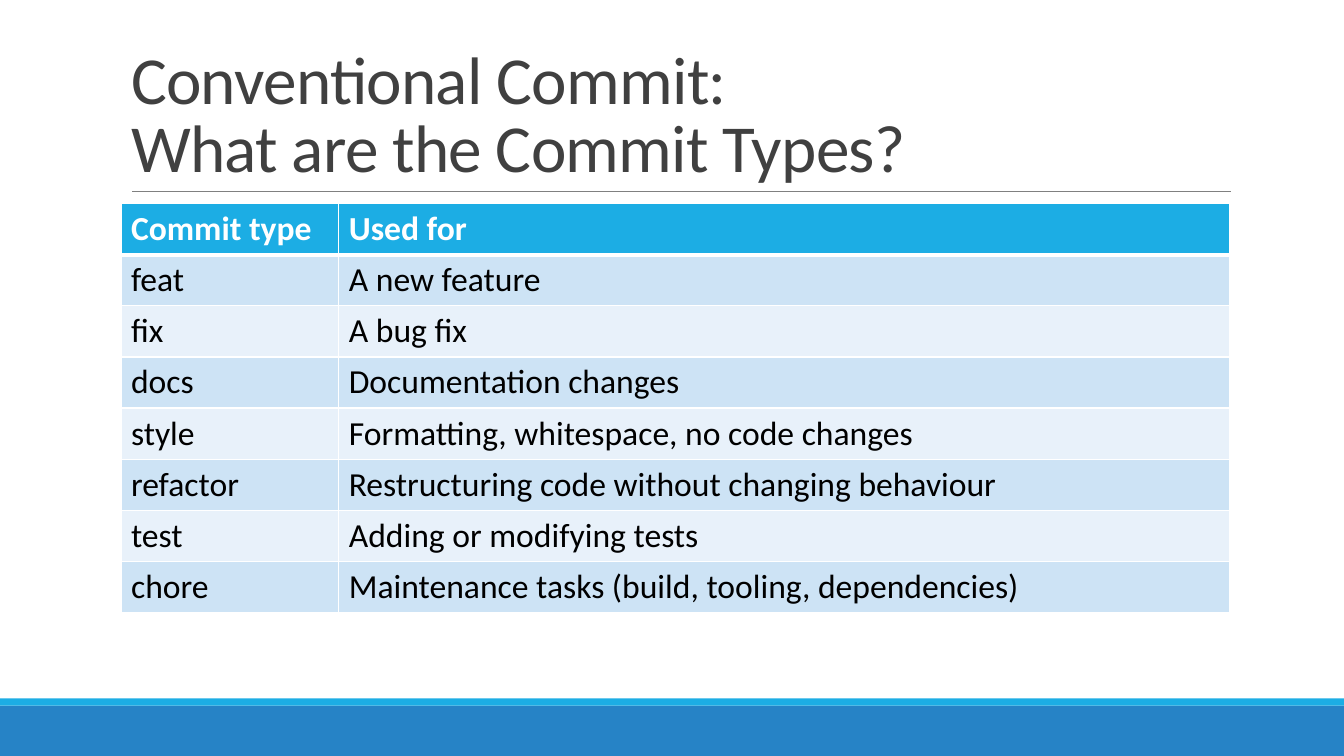
import pptx
import pptx.dml.color
import pptx.enum.shapes
import pptx.enum.text
import pptx.oxml.ns
import pptx.util
from lxml import etree

PX = 9144
FONT = "Calibri"
SKY, BLUE, WHITE = "1CADE4", "2683C6", "FFFFFF"
BANDS = ("CDE3F5", "E8F1FA")
TITLE = "Conventional Commit:\vWhat are the Commit Types?"
ROWS = [
    ("Commit type", "Used for"),
    ("feat", "A new feature"),
    ("fix", "A bug fix"),
    ("docs", "Documentation changes"),
    ("style", "Formatting, whitespace, no code changes"),
    ("refactor", "Restructuring code without changing behaviour"),
    ("test", "Adding or modifying tests"),
    ("chore", "Maintenance tasks (build, tooling, dependencies)"),
]


def px(*lengths):
    """Turn px lengths into a list of EMU lengths."""
    return [pptx.util.Emu(length * PX) for length in lengths]


def color(value):
    """Turn a hex string into a colour."""
    return pptx.dml.color.RGBColor.from_string(value)


def child(parent, tag, **attributes):
    """Append a DrawingML element and return it."""
    return etree.SubElement(parent, pptx.oxml.ns.qn(tag), attributes)


def style(span, fill, **formats):
    """Set the font, colour and other format values of a span."""
    for name, value in {"name": FONT, **formats}.items():
        setattr(span.font, name, value)
    span.font.color.rgb = color(fill)


def add_bar(page, box, fill):
    """Add a plain filled bar."""
    bar = page.shapes.add_shape(pptx.enum.shapes.MSO_SHAPE.RECTANGLE, *px(*box))
    bar.shadow.inherit = False
    bar.fill.solid()
    bar.fill.fore_color.rgb = color(fill)
    bar.line.fill.background()


def add_footer(page, box):
    """Add the thin bright stripe above the wide blue bar."""
    left, top, width, height = box
    stripe = 7
    add_bar(page, (left, top + stripe, width, height - stripe), BLUE)
    add_bar(page, (left, top, width, stripe), SKY)


def add_title(page, box):
    """Place the title and the rule along its bottom edge."""
    left, top, width, height = box
    title = page.shapes.title
    title.left, title.top, title.width, title.height = px(*box)
    frame = title.text_frame
    frame.text = TITLE
    frame.word_wrap = True
    frame.auto_size = pptx.enum.text.MSO_AUTO_SIZE.NONE
    frame.vertical_anchor = pptx.enum.text.MSO_ANCHOR.BOTTOM
    para = frame.paragraphs[0]
    para.alignment = pptx.enum.text.PP_ALIGN.LEFT
    para.line_spacing = 0.85
    for span in para.runs:
        style(span, "404040", size=pptx.util.Pt(48))
        span.font._element.set("spc", "-50")

    bottom = top + height
    rule = page.shapes.add_connector(
        pptx.enum.shapes.MSO_CONNECTOR.STRAIGHT,
        *px(left + 11, bottom, left + width + 1, bottom))
    rule.line.color.rgb = color("808080")
    rule.line.width = pptx.util.Pt(0.5)
    child(rule._element.spPr, "a:effectLst")


def fill_cell(cell, text, row):
    """Write, fill and border one cell according to its row."""
    header = row == 0
    span = cell.text_frame.paragraphs[0].add_run()
    span.text = text
    style(span, WHITE if header else "000000", size=pptx.util.Pt(24), bold=header)
    widths = {"L": 1, "R": 1, "T": 3 if row == 1 else 1, "B": 3 if header else 1}
    properties = cell._tc.get_or_add_tcPr()
    for side, points in widths.items():
        border = child(properties, f"a:ln{side}", w=str(pptx.util.Pt(points)))
        child(child(border, "a:solidFill"), "a:srgbClr", val=WHITE)
    cell.fill.solid()
    cell.fill.fore_color.rgb = color(SKY if header else BANDS[(row - 1) % 2])


def add_types_table(page, box):
    """Add the table of commit types."""
    width, first = box[2], 216
    table = page.shapes.add_table(len(ROWS), 2, *px(*box)).table
    for column, length in zip(table.columns, px(first, width - first)):
        column.width = length
    for row, texts in enumerate(ROWS):
        for column, text in enumerate(texts):
            fill_cell(table.cell(row, column), text, row)


def main():
    """Build and save the slide."""
    deck = pptx.Presentation()
    deck.slide_width, deck.slide_height = px(1333, 750)
    page = deck.slides.add_slide(deck.slide_layouts[5])
    add_footer(page, (0, 693, 1333, 57))
    add_title(page, (120, 31, 1100, 159))
    add_types_table(page, (120, 202, 1100, 400))
    deck.save("out.pptx")


if __name__ == "__main__":
    main()
